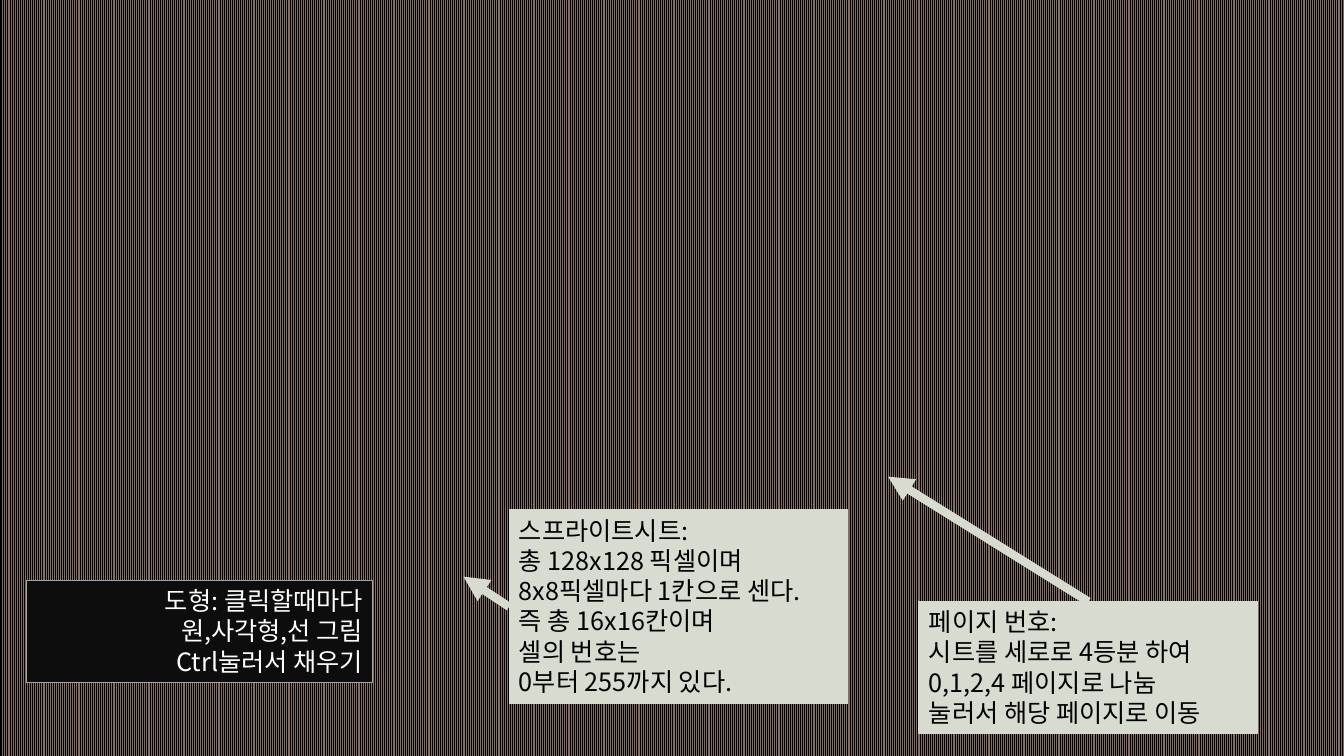
from dataclasses import dataclass

from lxml import etree
from pptx import Presentation
from pptx.dml.color import RGBColor
from pptx.enum.dml import MSO_PATTERN
from pptx.enum.shapes import MSO_CONNECTOR
from pptx.enum.text import MSO_AUTO_SIZE, PP_ALIGN
from pptx.oxml.ns import qn
from pptx.slide import Slide
from pptx.util import Cm, Pt

STRAIGHT = MSO_CONNECTOR.STRAIGHT
LEFT, RIGHT = PP_ALIGN.LEFT, PP_ALIGN.RIGHT
FIT_TEXT = MSO_AUTO_SIZE.SHAPE_TO_FIT_TEXT
STRIPES = MSO_PATTERN.LIGHT_VERTICAL

FONT = "Noto Sans CJK KR"
BLACK, WHITE, CHARCOAL = "000000", "FFFFFF", "0D0D0D"
GRAY, SAGE, BROWN = "A6A6A6", "D7DBD0", "826F61"
TEXT_FORMAT = {"size": Pt(18), "name": FONT}
BLANK_LAYOUT = 6


@dataclass
class Note:
    left: float
    top: float
    width: float
    height: float
    paragraphs: list[str]
    fill: str = SAGE
    line: str = SAGE
    ink: str = BLACK
    align: PP_ALIGN = LEFT
    wrap: bool = False


@dataclass
class Pointer:
    start: tuple[float, float]
    tip: tuple[float, float]


NOTES = [
    Note(23.16, 15.16, 8.53, 3.33, [
        "페이지 번호:",
        "시트를 세로로 4등분 하여\n0,1,2,4 페이지로 나눔",
        "눌러서 해당 페이지로 이동",
    ]),
    Note(0.66, 14.63, 8.74, 2.57, [
        "도형: 클릭할때마다",
        "원,사각형,선 그림",
        "Ctrl눌러서 채우기",
    ], fill=CHARCOAL, line=GRAY, ink=WHITE, align=RIGHT, wrap=True),
    Note(12.83, 12.85, 8.53, 4.88, [
        "스프라이트시트:",
        "총 128x128 픽셀이며",
        "8x8픽셀마다 1칸으로 센다.",
        "즉 총 16x16칸이며",
        "셀의 번호는",
        "0부터 255까지 있다.",
    ]),
]

POINTERS = [
    Pointer((12.83, 15.29), (11.68, 14.53)),
    Pointer((27.43, 15.16), (22.38, 12.01)),
]


def color(value: str) -> RGBColor:
    return RGBColor.from_string(value)


def paint_background(page: Slide) -> None:
    fill = page.background.fill
    fill.patterned()
    fill.pattern = STRIPES
    fill.fore_color.rgb = color(BROWN)
    fill.back_color.rgb = color(BLACK)


def draw_note(page: Slide, note: Note) -> None:
    box = page.shapes.add_textbox(
        Cm(note.left), Cm(note.top), Cm(note.width), Cm(note.height))
    box.fill.solid()
    box.fill.fore_color.rgb = color(note.fill)
    box.line.color.rgb = color(note.line)
    box.line.width = Pt(0.75)
    frame = box.text_frame
    frame.word_wrap = note.wrap
    frame.auto_size = FIT_TEXT
    for index, text in enumerate(note.paragraphs):
        para = frame.add_paragraph() if index else frame.paragraphs[0]
        para.text = text
        para.alignment = note.align
        for span in para.runs:
            span.font.color.rgb = color(note.ink)
            for name, value in TEXT_FORMAT.items():
                setattr(span.font, name, value)
            # Hangul takes its typeface from the East Asian slot
            etree.SubElement(span.font._element, qn("a:ea"), typeface=FONT)


def draw_pointer(page: Slide, pointer: Pointer) -> None:
    ends = [Cm(value) for value in pointer.start + pointer.tip]
    arrow = page.shapes.add_connector(STRAIGHT, *ends)
    arrow.line.color.rgb = color(SAGE)
    arrow.line.width = Pt(6)
    properties = arrow._element.spPr
    etree.SubElement(properties.find(qn("a:ln")), qn("a:tailEnd"), type="triangle")
    etree.SubElement(properties, qn("a:effectLst"))


def main() -> None:
    deck = Presentation()
    deck.slide_width, deck.slide_height = Cm(33.87), Cm(19.05)
    page = deck.slides.add_slide(deck.slide_layouts[BLANK_LAYOUT])
    paint_background(page)
    for note in NOTES:
        draw_note(page, note)
    for pointer in POINTERS:
        draw_pointer(page, pointer)
    deck.save("out.pptx")


if __name__ == "__main__":
    main()
